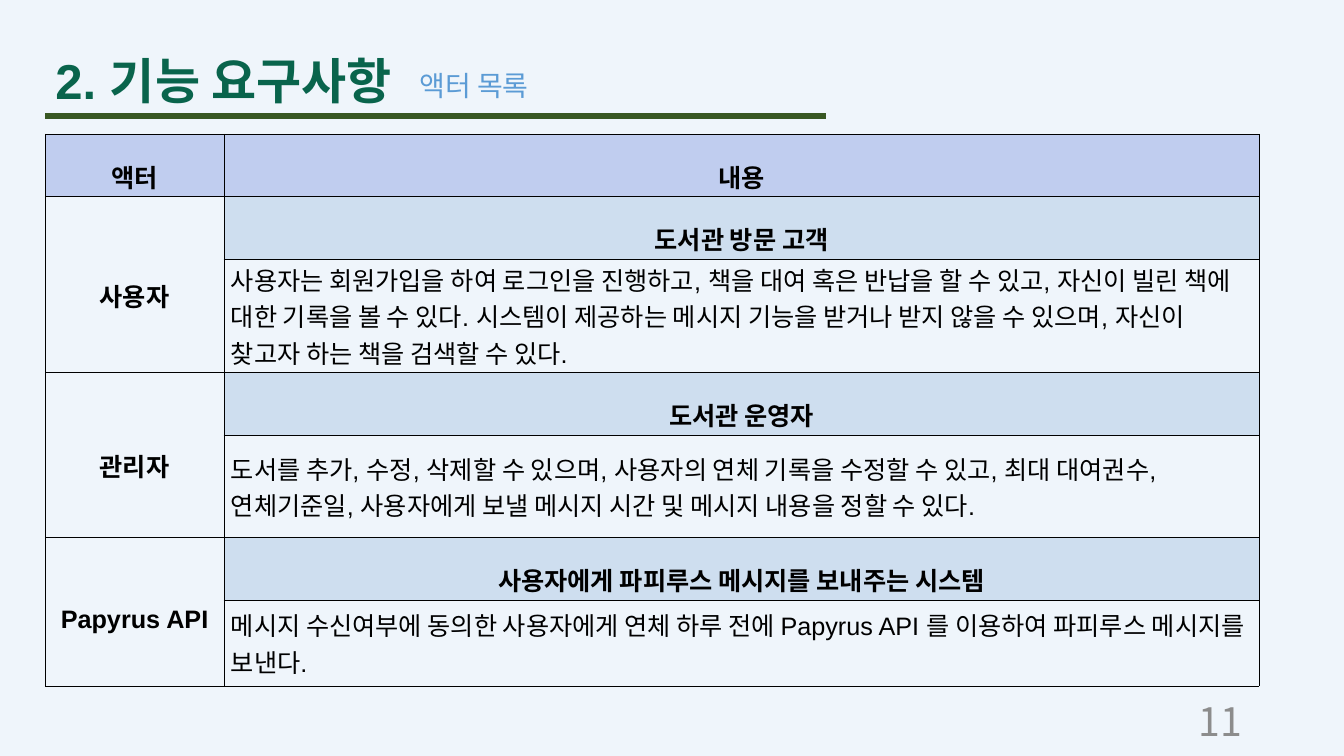
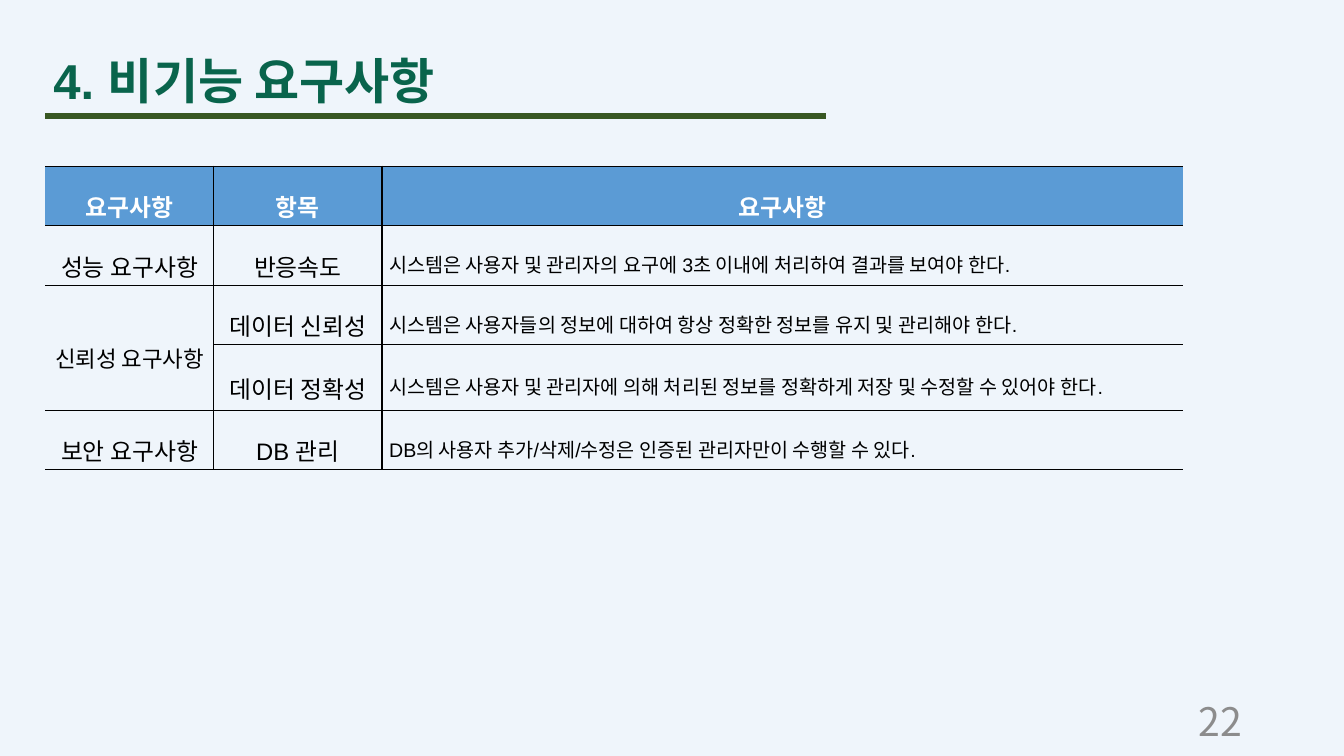
from lxml.etree import SubElement
from pptx import Presentation
from pptx.dml.color import RGBColor
from pptx.enum.shapes import MSO_CONNECTOR
from pptx.enum.text import MSO_ANCHOR, MSO_AUTO_SIZE, PP_ALIGN
from pptx.oxml.ns import qn
from pptx.util import Pt

PX = 9144  # EMU in one hundredth of an inch

PAPER = RGBColor(0xEF, 0xF5, 0xFB)
GREEN = RGBColor(0x09, 0x64, 0x4C)
DARK_GREEN = RGBColor(0x38, 0x57, 0x23)
BLUE = RGBColor(0x5B, 0x9B, 0xD5)
LAVENDER = RGBColor(0xC0, 0xCD, 0xEF)
PALE_BLUE = RGBColor(0xCE, 0xDE, 0xEF)
GRAY = RGBColor(0x8C, 0x8C, 0x8C)
BLACK = RGBColor(0, 0, 0)
WHITE = RGBColor(0xFF, 0xFF, 0xFF)

FONT = "Arial"
NUMBER_FONT = "Noto Sans CJK KR"


class Deck:
    def __init__(self):
        self.prs = Presentation()
        self.prs.slide_width, self.prs.slide_height = 1333 * PX, 750 * PX
        self.s = None

    def slide(self, title, number, title_left=45):
        self.s = self.prs.slides.add_slide(self.prs.slide_layouts[5])
        fill = self.s.background.fill
        fill.solid()
        fill.fore_color.rgb = PAPER
        sp = self.s.shapes.title
        self.place(sp, title_left, 45, 514, 69)
        self.fill_frame(sp.text_frame, title, 35, GREEN, bold=True)
        self.rule(45, 819, 115)
        self.text(number, 942, 695, 300, 40, 28, GRAY, font=NUMBER_FONT,
                  align=PP_ALIGN.RIGHT, anchor=MSO_ANCHOR.MIDDLE)

    def place(self, sp, left, top, width, height):
        sp.left, sp.top = left * PX, top * PX
        sp.width, sp.height = width * PX, height * PX

    def fill_frame(self, tf, text, size, color, bold=False, font=FONT,
                   align=PP_ALIGN.LEFT, anchor=MSO_ANCHOR.TOP, spacing=1.0):
        tf.word_wrap = True
        tf.auto_size = MSO_AUTO_SIZE.NONE
        tf.vertical_anchor = anchor
        self.style(tf.paragraphs[0], text, size, color, bold, font, align, spacing)

    def style(self, p, text, size, color, bold, font, align, spacing):
        p.text = text
        p.alignment = align
        p.line_spacing = spacing
        p.font.name, p.font.size, p.font.bold = font, Pt(size), bold
        p.font.color.rgb = color

    def text(self, text, left, top, width, height, size, color, **look):
        sp = self.s.shapes.add_textbox(0, 0, 0, 0)
        self.place(sp, left, top, width, height)
        self.fill_frame(sp.text_frame, text, size, color, **look)

    def rule(self, left, right, y):
        line = self.s.shapes.add_connector(
            MSO_CONNECTOR.STRAIGHT, left * PX, y * PX, right * PX, y * PX)
        line.line.color.rgb = DARK_GREEN
        line.line.width = Pt(4.5)
        SubElement(line._element.spPr, qn("a:effectLst"))

    def table(self, left, top, widths, heights):
        frame = self.s.shapes.add_table(
            len(heights), len(widths), left * PX, top * PX,
            sum(widths) * PX, sum(heights) * PX)
        table = frame.table
        table.first_row = table.horz_banding = False
        for column, width in zip(table.columns, widths):
            column.width = width * PX
        for row, height in zip(table.rows, heights):
            row.height = height * PX
        return table

    def cell(self, cell, text, size, color=BLACK, bold=False, fill=None,
             align=PP_ALIGN.CENTER, spacing=1.6):
        cell.vertical_anchor = MSO_ANCHOR.MIDDLE
        cell.margin_left = cell.margin_right = 7 * PX
        cell.margin_top = cell.margin_bottom = 2 * PX
        self.style(cell.text_frame.paragraphs[0], text, size, color, bold,
                   FONT, align, spacing)
        if fill is not None:
            cell.fill.solid()
            cell.fill.fore_color.rgb = fill

    def grid(self, table, width, open_sides=False):
        """Draw every cell border; open_sides leaves out the outer left and right."""
        last = len(table.columns) - 1
        for row in table.rows:
            for i, cell in enumerate(row.cells):
                if cell.fill.type is None:
                    cell.fill.background()
                hidden = {"lnL": i == 0, "lnR": i == last}
                props = cell._tc.get_or_add_tcPr()
                for at, side in enumerate(("lnL", "lnR", "lnT", "lnB")):
                    ln = SubElement(props, qn(f"a:{side}"), w=str(Pt(width)))
                    props.insert(at, ln)
                    if open_sides and hidden.get(side):
                        SubElement(ln, qn("a:noFill"))
                    else:
                        paint = SubElement(ln, qn("a:solidFill"))
                        SubElement(paint, qn("a:srgbClr"), val=str(BLACK))


ACTORS = [
    ("사용자", "도서관 방문 고객",
     "사용자는 회원가입을 하여 로그인을 진행하고, 책을 대여 혹은 반납을 할 수 있고, "
     "자신이 빌린 책에 대한 기록을 볼 수 있다. 시스템이 제공하는 메시지 기능을 받거나 "
     "받지 않을 수 있으며, 자신이 찾고자 하는 책을 검색할 수 있다."),
    ("관리자", "도서관 운영자",
     "도서를 추가, 수정, 삭제할 수 있으며, 사용자의 연체 기록을 수정할 수 있고, "
     "최대 대여권수, 연체기준일, 사용자에게 보낼 메시지 시간 및 메시지 내용을 정할 수 있다."),
    ("Papyrus API", "사용자에게 파피루스 메시지를 보내주는 시스템",
     "메시지 수신여부에 동의한 사용자에게 연체 하루 전에 Papyrus API 를 이용하여 "
     "파피루스 메시지를 보낸다."),
]

REQUIREMENTS = [
    ("성능 요구사항", "반응속도",
     "시스템은 사용자 및 관리자의 요구에 3초 이내에 처리하여 결과를 보여야 한다."),
    ("신뢰성 요구사항", "데이터 신뢰성",
     "시스템은 사용자들의 정보에 대하여 항상 정확한 정보를 유지 및 관리해야 한다."),
    (None, "데이터 정확성",
     "시스템은 사용자 및 관리자에 의해 처리된 정보를 정확하게 저장 및 수정할 수 있어야 한다."),
    ("보안 요구사항", "DB 관리",
     "DB의 사용자 추가/삭제/수정은 인증된 관리자만이 수행할 수 있다."),
]


def actor_slide(deck):
    deck.slide("2. 기능 요구사항", "11")
    table = deck.table(45, 133, [177, 1027], [62, 62, 112, 62, 102, 62, 85])
    for c, heading in enumerate(("액터", "내용")):
        deck.cell(table.cell(0, c), heading, 18, bold=True, fill=LAVENDER)
    for i, (actor, role, duties) in enumerate(ACTORS):
        r = 1 + 2 * i
        table.cell(r, 0).merge(table.cell(r + 1, 0))
        deck.cell(table.cell(r, 0), actor, 18, bold=True)
        deck.cell(table.cell(r, 1), role, 18, bold=True, fill=PALE_BLUE)
        deck.cell(table.cell(r + 1, 1), duties, 18, align=PP_ALIGN.LEFT, spacing=1.0)
    deck.grid(table, 0.43)
    deck.text("액터 목록", 406, 53, 603, 113, 20, BLUE, spacing=1.3)


def requirement_slide(deck):
    deck.slide("4. 비기능 요구사항", "22", title_left=43)
    table = deck.table(45, 165, [167, 167, 794], [59, 59, 59, 65, 59])
    for c, heading in enumerate(("요구사항", "항목", "요구사항")):
        deck.cell(table.cell(0, c), heading, 17, WHITE, bold=True, fill=BLUE)
    table.cell(2, 0).merge(table.cell(3, 0))
    for r, (group, item, detail) in enumerate(REQUIREMENTS, start=1):
        if group:
            size = 16 if table.cell(r, 0).is_merge_origin else 17
            deck.cell(table.cell(r, 0), group, size)
        deck.cell(table.cell(r, 1), item, 17)
        deck.cell(table.cell(r, 2), detail, 14, align=PP_ALIGN.LEFT)
    deck.grid(table, 1, open_sides=True)


def main():
    deck = Deck()
    actor_slide(deck)
    requirement_slide(deck)
    deck.prs.save("out.pptx")


if __name__ == "__main__":
    main()
